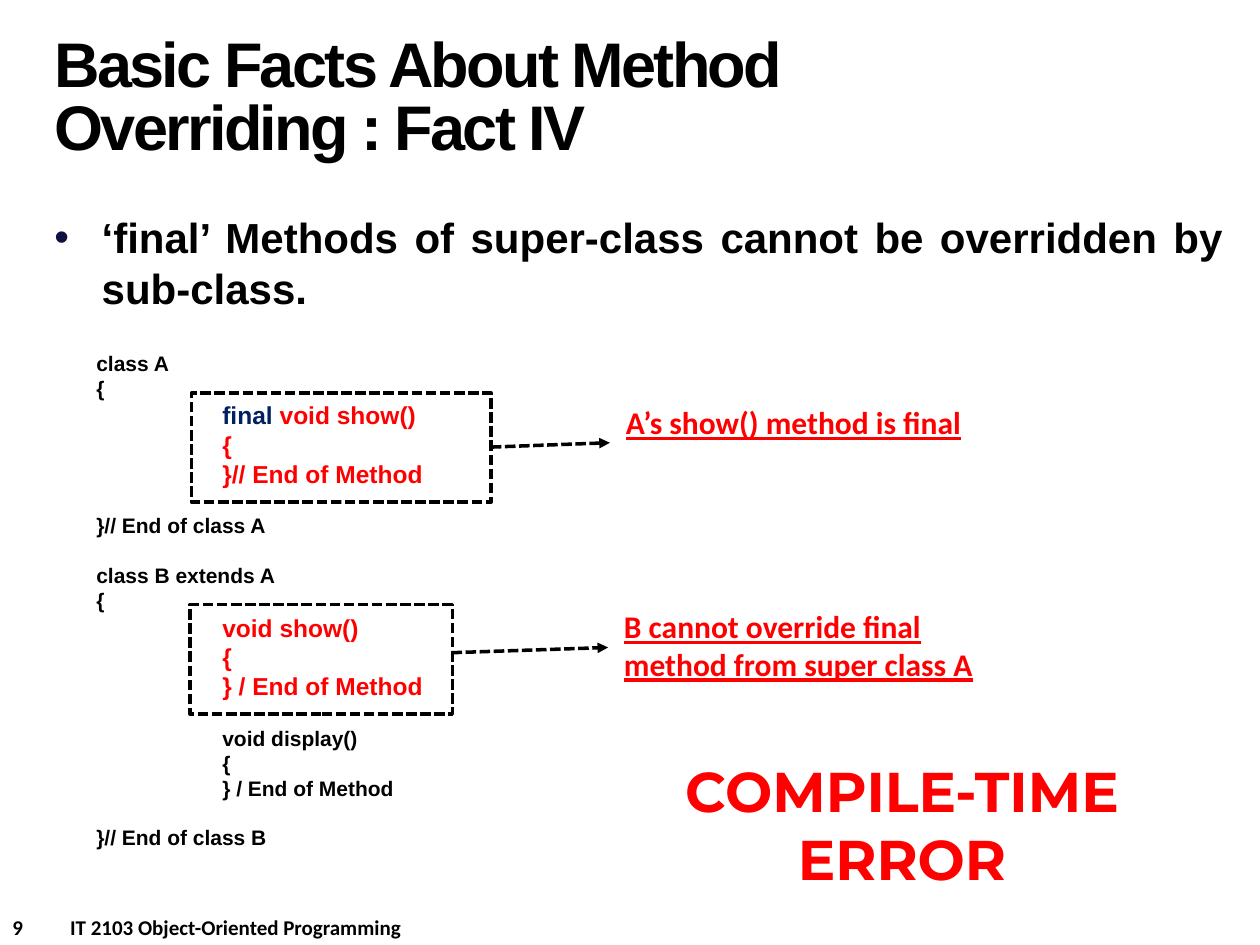
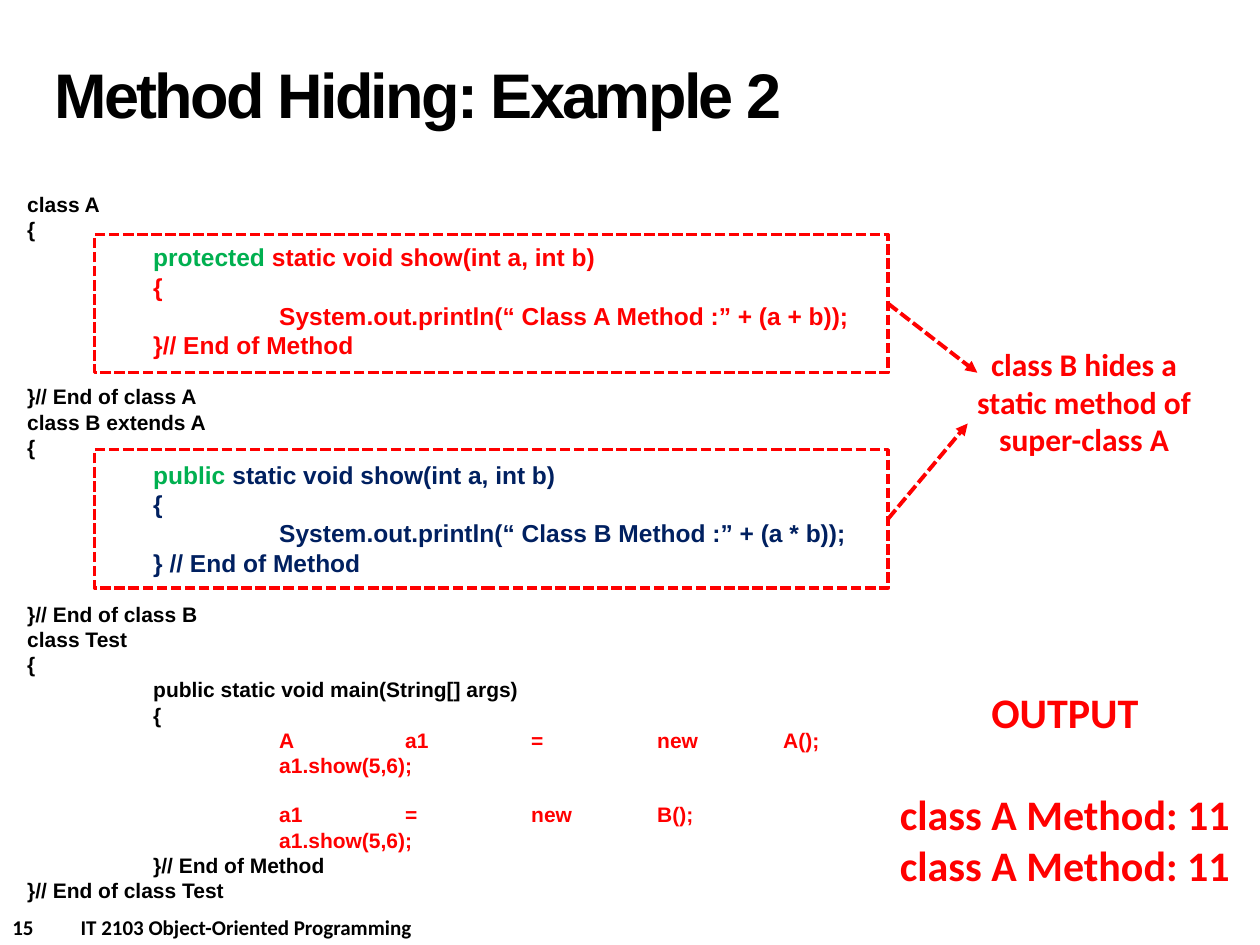
import pptx
import pptx.dml.color
import pptx.enum.dml
import pptx.enum.shapes
import pptx.enum.text
import pptx.oxml.ns
import pptx.util
from lxml import etree

Pt = pptx.util.Pt
ALIGN = pptx.enum.text.PP_ALIGN
BLACK, RED, NAVY, GREEN, BULLET = "000000", "FF0000", "002060", "00B050", "101141"
HEAD, NOTE, DISPLAY = "Arial", "Calibri", "Montserrat"
CODE_LINE = 13.8


def rgb(value):
    return pptx.dml.color.RGBColor.from_string(value)


def child(parent, tag, **attrs):
    return etree.SubElement(parent, pptx.oxml.ns.qn(tag), attrs)


def add_run(p, text, size=12, color=BLACK, font=HEAD, underline=None, spacing=None):
    r = p.add_run()
    r.text = text
    r.font.size = Pt(size)
    r.font.name = font
    r.font.bold = True
    r.font.underline = underline
    r.font.color.rgb = rgb(color)
    if spacing is not None:
        r.font._element.set("spc", str(int(spacing * 100)))


def set_tabs(p, stops):
    tabs = child(p._p.get_or_add_pPr(), "a:tabLst")
    for stop in stops:
        child(tabs, "a:tab", pos=str(Pt(stop)), algn="l")


class Deck:
    def __init__(self):
        self.prs = pptx.Presentation()
        self.prs.slide_width, self.prs.slide_height = Pt(720), Pt(540)

    def slide(self, number, title):
        self.s = self.prs.slides.add_slide(self.prs.slide_layouts[6])
        p = self.text((0, 519, 360, 22), f"{number}\tIT 2103 Object-Oriented Programming",
                      font=NOTE).paragraphs[0]
        set_tabs(p, [27 + 6 * len(str(number))])
        tf = self.text((24, 12, 498, 90), title, size=36, spacing=-1.5)
        tf.vertical_anchor = pptx.enum.text.MSO_ANCHOR.MIDDLE
        tf.paragraphs[0].line_spacing = Pt(36)

    def frame(self, box, wrap=True):
        tf = self.s.shapes.add_textbox(*map(Pt, box)).text_frame
        tf.word_wrap = wrap
        return tf

    def text(self, box, text, align=ALIGN.LEFT, wrap=True, **fmt):
        tf = self.frame(box, wrap)
        for i, line in enumerate(text.split("\n")):
            p = tf.add_paragraph() if i else tf.paragraphs[0]
            p.alignment = align
            add_run(p, line, **fmt)
        return tf

    def bullet(self, box, text):
        p = self.text(box, text, align=ALIGN.JUSTIFY, size=24).paragraphs[0]
        p.space_before = Pt(3)
        pPr = p._p.get_or_add_pPr()
        pPr.set("marL", str(Pt(27)))
        pPr.set("indent", str(Pt(-27)))
        child(child(pPr, "a:buClr"), "a:srgbClr", val=BULLET)
        child(pPr, "a:buFont", typeface=HEAD)
        child(pPr, "a:buChar", char="•")

    def code(self, box, blocks):
        tf = self.frame(box)
        p = tf.paragraphs[0]
        for text, fmt, gap, keyword, key_color in blocks:
            for i, line in enumerate(text.split("\n")):
                p = tf.add_paragraph() if p.runs else p
                if i == 0 and gap:
                    p.space_before = Pt(CODE_LINE)
                if i == 0 and keyword:
                    lead, word, line = line.partition(keyword)
                    add_run(p, lead)
                    add_run(p, word, **{**fmt, "color": key_color})
                add_run(p, line, **fmt)
                set_tabs(p, range(72, 433, 72))

    def outline(self, box, color):
        sp = self.s.shapes.add_shape(pptx.enum.shapes.MSO_SHAPE.RECTANGLE, *map(Pt, box))
        sp.shadow.inherit = False
        sp.fill.background()
        self.dash(sp.line, color, 2)

    def arrow(self, start, end, color, width):
        sp = self.s.shapes.add_connector(pptx.enum.shapes.MSO_CONNECTOR.STRAIGHT,
                                         *map(Pt, start + end))
        self.dash(sp.line, color, width)
        child(sp.line._get_or_add_ln(), "a:tailEnd", type="triangle")
        child(sp._element.spPr, "a:effectLst")

    def dash(self, line, color, width):
        line.color.rgb = rgb(color)
        line.width = Pt(width)
        line.dash_style = pptx.enum.dml.MSO_LINE.SQUARE_DOT


def block(text, size=12, color=BLACK, gap=False, keyword=None, key_color=None):
    return text, dict(size=size, color=color), gap, keyword, key_color


deck = Deck()

deck.slide(9, "Basic Facts About Method Overriding : Fact IV")
deck.bullet((24, 117.5, 682, 67),
            "‘final’ Methods of super-class cannot be overridden by sub-class.")
deck.code((48, 196.5, 232.5, 298), [
    block("class A\n{"),
    block("\tfinal void show()\n\t{\n\t}// End of Method", 14, RED,
          keyword="final", key_color=NAVY),
    block("}// End of class A", gap=True),
    block("class B extends A\n{", gap=True),
    block("\tvoid show()\n\t{\n\t} / End of Method", 14, RED),
    block("\tvoid display()\n\t{\n\t} / End of Method", gap=True),
    block("}// End of class B", gap=True),
])
deck.outline((109.5, 224.5, 171, 62.5), BLACK)
deck.outline((108.5, 345.5, 150, 62.5), BLACK)
deck.arrow((280.5, 255.5), (348.5, 253), BLACK, 2)
deck.arrow((258, 373), (347.5, 370), BLACK, 2)
note = dict(size=18, color=RED, font=NOTE)
deck.text((350.5, 227, 220, 29), "A’s show() method is final", underline=True, **note)
deck.text((349.5, 343.5, 221, 51), "B cannot override final method from super class A",
          underline=True, **note)
deck.text((337.5, 429, 356, 85), "COMPILE-TIME ERROR", align=ALIGN.CENTER,
          size=32, color=RED, font=DISPLAY)

deck.slide(15, "Method Hiding: Example 2")
method = "\t{} static void show(int a, int b)\n\t{{\n\t\tSystem.out.println(“ Class {} Method :” + (a {} b));\n\t{}// End of Method"
deck.code((8.5, 106, 499, 433), [
    block("class A\n{"),
    block(method.format("protected", "A", "+", "}"), 14, RED,
          keyword="protected", key_color=GREEN),
    block("}// End of class A\nclass B extends A\n{", gap=True),
    block(method.format("public", "B", "*", "} "), 14, NAVY,
          keyword="public", key_color=GREEN),
    block("}// End of class B\nclass Test\n{", gap=True),
    block("\tpublic static void main(String[] args)\n\t{"),
    block("\t\tA\ta1\t=\tnew\tA();\n\t\ta1.show(5,6);", color=RED),
    block("\t\ta1\t=\tnew\tB();\n\t\ta1.show(5,6);", color=RED, gap=True),
    block("\t}// End of Method\n}// End of class Test"),
])
for top, tip in ((134, (558.5, 213)), (257, (553, 242))):
    deck.outline((54, top, 453.5, 79), RED)
    deck.arrow((507.5, top + 39.5), tip, RED, 2.25)
deck.text((541.5, 193.5, 156, 73), "class B hides a static method of super-class A",
          align=ALIGN.CENTER, **note)
tf = deck.text((506, 389, 205, 124), "OUTPUT\nclass A Method: 11\nclass A Method: 11",
               align=ALIGN.CENTER, wrap=False, size=24, color=RED, font=NOTE)
tf.paragraphs[1].space_before = Pt(29.3)

deck.prs.save("out.pptx")
